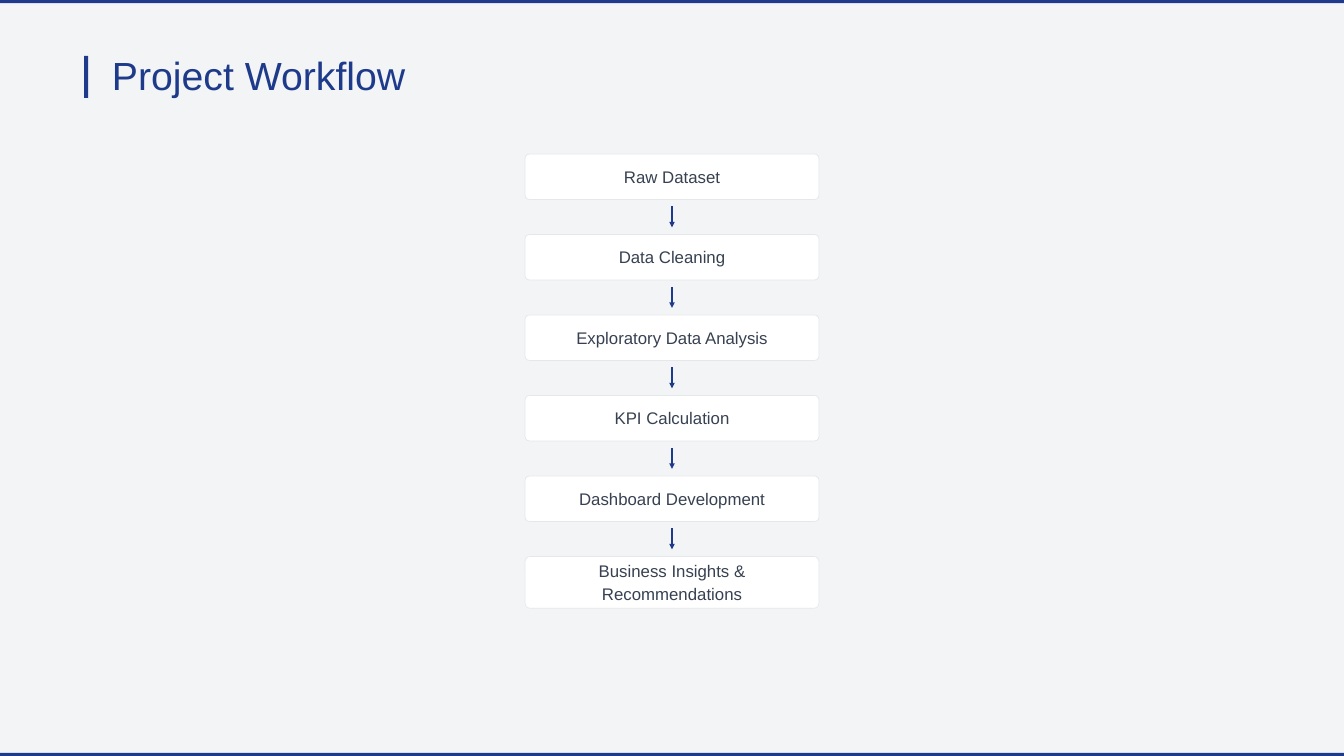
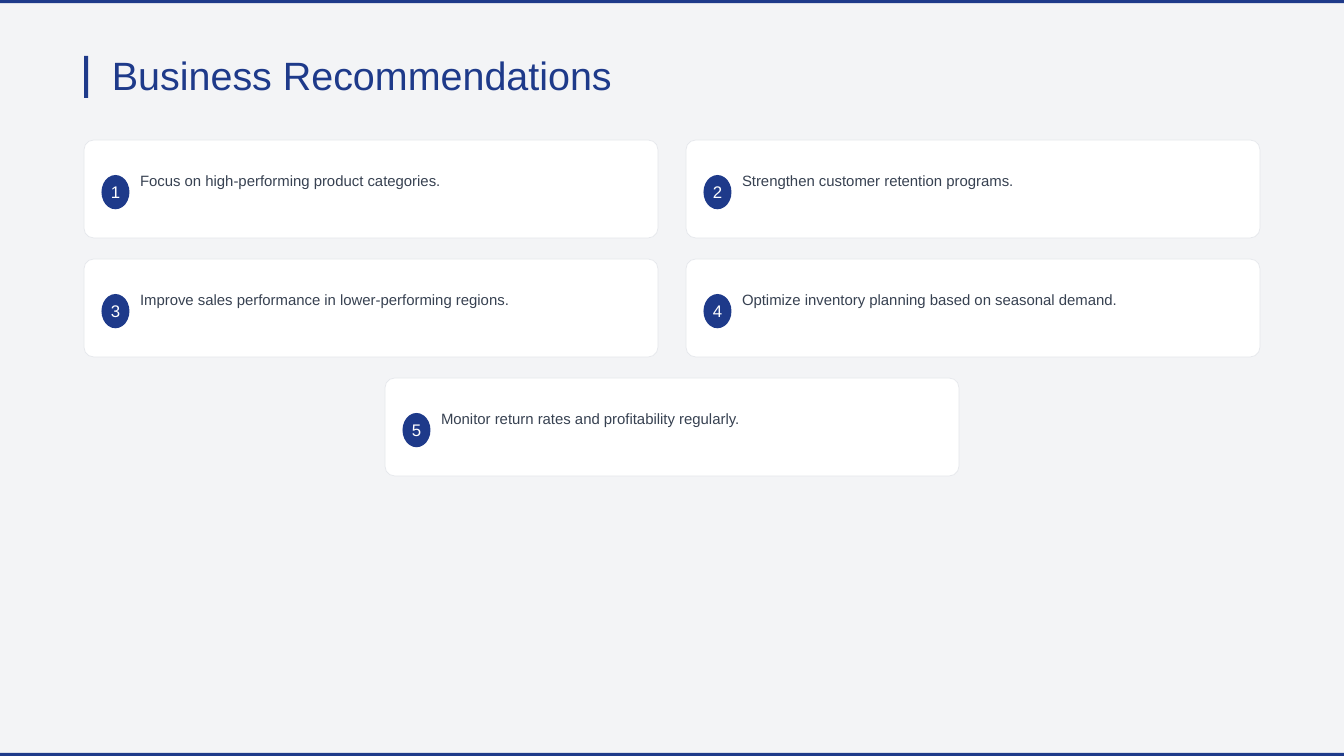
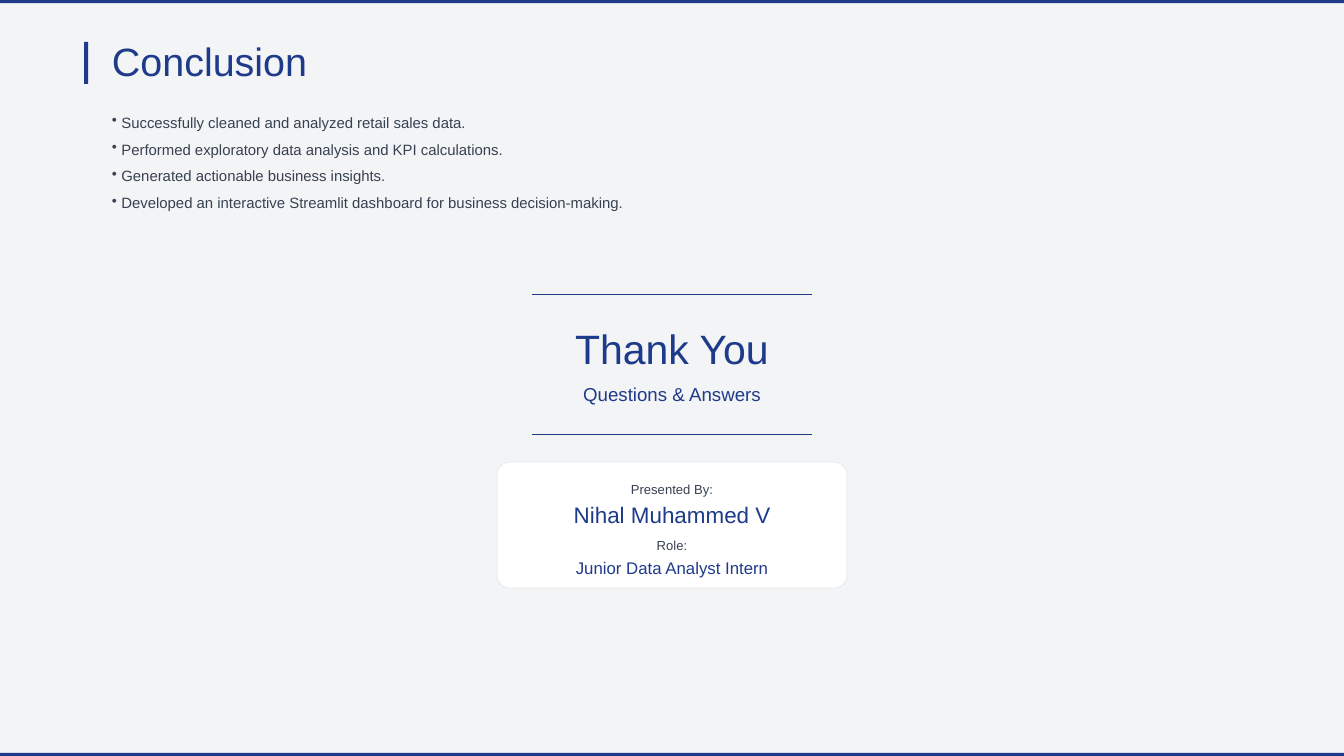
import typing

import pptx
import pptx.dml.color
import pptx.enum.shapes
import pptx.enum.text
import pptx.oxml.ns
import pptx.util
from lxml import etree

RGB = pptx.dml.color.RGBColor
NAVY = RGB(0x1E, 0x3A, 0x8A)
SLATE = RGB(0x37, 0x41, 0x51)
MIST = RGB(0xF3, 0xF4, 0xF6)
EDGE = RGB(0xE5, 0xE7, 0xEB)
WHITE = RGB(0xFF, 0xFF, 0xFF)

FONT = "Arial"
COLS, ROWS = 96, 54
WIDTH = pptx.util.Inches(20)
CELL = WIDTH // COLS
CELL_PT = 15
MARGIN = 6
TITLE_ONLY = 5

KIND = pptx.enum.shapes.MSO_SHAPE
ALIGN = pptx.enum.text.PP_ALIGN
ANCHOR = pptx.enum.text.MSO_ANCHOR


class Box(typing.NamedTuple):
    """Left, top, width and height in grid cells."""
    left: float
    top: float
    width: float
    height: float


class Style(typing.NamedTuple):
    size: float
    color: RGB = SLATE
    align: ALIGN = ALIGN.CENTER
    lead: float = 1.4


class Head(typing.NamedTuple):
    text: str
    row: float = 4
    size: float = 42.3


class Label(typing.NamedTuple):
    text: str
    top: float
    style: Style


STEP = Style(18)
BADGE = Style(18, WHITE, lead=1.15)
ADVICE = Style(16, align=ALIGN.LEFT, lead=1.5)
POINT = Style(16, align=ALIGN.LEFT, lead=1.8)
SMALL = Style(14)

STEPS = ["Raw Dataset", "Data Cleaning", "Exploratory Data Analysis",
         "KPI Calculation", "Dashboard Development",
         "Business Insights & Recommendations"]
ADVICES = ["Focus on high-performing product categories.",
           "Strengthen customer retention programs.",
           "Improve sales performance in lower-performing regions.",
           "Optimize inventory planning based on seasonal demand.",
           "Monitor return rates and profitability regularly."]
POINTS = ["Successfully cleaned and analyzed retail sales data.",
          "Performed exploratory data analysis and KPI calculations.",
          "Generated actionable business insights.",
          "Developed an interactive Streamlit dashboard for business "
          "decision-making."]
CLOSING = [
    Label("Thank You", 22.55, Style(43.9, NAVY)),
    Label("Questions & Answers", 27.1, Style(20, NAVY)),
    Label("Presented By:", 34.2, SMALL),
    Label("Nihal Muhammed V", 35.5, Style(24, NAVY)),
    Label("Role:", 38.2, SMALL),
    Label("Junior Data Analyst Intern", 39.6, Style(18, NAVY)),
]


def cells(*counts: float) -> list[pptx.util.Emu]:
    return [pptx.util.Emu(round(count * CELL)) for count in counts]


def write(shape, lines: list[str], style: Style, anchor=ANCHOR.TOP,
          side: float = 0, foot: float = 0, bullet: bool = False) -> None:
    """Fill a shape with styled lines; side and foot are insets in inches."""
    frame = shape.text_frame
    frame.text = "\n".join(lines)
    frame.word_wrap = True
    frame.auto_size = pptx.enum.text.MSO_AUTO_SIZE.NONE
    frame.vertical_anchor = anchor
    frame.margin_left = frame.margin_right = pptx.util.Inches(side)
    frame.margin_top = 0
    frame.margin_bottom = pptx.util.Inches(foot)
    for para in frame.paragraphs:
        if bullet:
            props = para._p.get_or_add_pPr()
            indent = pptx.util.Inches(0.14)
            props.set("marL", str(indent))
            props.set("indent", str(-indent))
            mark = etree.SubElement(props, pptx.oxml.ns.qn("a:buChar"))
            mark.set("char", "•")
        para.alignment = style.align
        para.line_spacing = pptx.util.Pt(style.size * style.lead)
        for run in para.runs:
            run.font.name = FONT
            run.font.size = pptx.util.Pt(style.size)
            run.font.color.rgb = style.color


def add_text(slide, left: float, top: float, width: float,
             lines: list[str], style: Style, bullet: bool = False) -> None:
    height = len(lines) * style.size * style.lead / CELL_PT
    shape = slide.shapes.add_textbox(*cells(left, top, width, height))
    write(shape, lines, style, bullet=bullet)


def add_solid(slide, box: Box, kind=KIND.RECTANGLE):
    shape = slide.shapes.add_shape(kind, *cells(*box))
    shape.shadow.inherit = False
    shape.fill.solid()
    shape.fill.fore_color.rgb = NAVY
    shape.line.fill.background()
    return shape


def add_card(slide, box: Box):
    shape = add_solid(slide, box, KIND.ROUNDED_RECTANGLE)
    shape.adjustments[0] = 0.1
    shape.fill.fore_color.rgb = WHITE
    shape.line.color.rgb = EDGE
    shape.line.width = pptx.util.Pt(0.75)
    return shape


def add_line(slide, start: tuple[float, float], end: tuple[float, float],
             weight: float, arrow: bool = False) -> None:
    line = slide.shapes.add_connector(
        pptx.enum.shapes.MSO_CONNECTOR.STRAIGHT, *cells(*start, *end))
    line.line.color.rgb = NAVY
    line.line.width = pptx.util.Pt(weight)
    if arrow:
        tail = etree.SubElement(line.line._get_or_add_ln(),
                                pptx.oxml.ns.qn("a:tailEnd"))
        tail.set("type", "triangle")
    etree.SubElement(line._element.spPr, pptx.oxml.ns.qn("a:effectLst"))


def add_slide(deck, head: Head):
    """Add a slide with its edge bands, title bar and title."""
    slide = deck.slides.add_slide(deck.slide_layouts[TITLE_ONLY])
    band = 0.22
    for top in (0, ROWS - band):
        add_solid(slide, Box(0, top, COLS, band))
    add_solid(slide, Box(MARGIN, head.row, 0.3, 3))
    title = slide.shapes.title
    box = Box(MARGIN + 2, head.row - 0.9, 40, 4.2)
    title.left, title.top, title.width, title.height = cells(*box)
    write(title, [head.text], Style(head.size, NAVY, ALIGN.LEFT))
    return slide


def draw_flow(deck) -> None:
    slide = add_slide(deck, Head("Project Workflow", size=42))
    width, height, pitch = 21, 3.25, 5.75
    mid = COLS / 2
    for place, step in enumerate(STEPS):
        top = 11 + place * pitch
        last = place == len(STEPS) - 1
        box = Box(mid - width / 2, top, width, 3.7 if last else height)
        write(add_card(slide, box), [step], STEP, ANCHOR.MIDDLE, 0.06, 0.05)
        if not last:
            start = top + height + 0.5
            add_line(slide, (mid, start), (mid, start + 1.5), 1.5, True)


def draw_advice(deck) -> None:
    slide = add_slide(deck, Head("Business Recommendations"))
    width, height, gap, pitch = 41, 7, 2, 8.5
    for place, advice in enumerate(ADVICES):
        row, col = divmod(place, 2)
        left = MARGIN + col * (width + gap)
        if place == len(ADVICES) - 1:
            left = (COLS - width) / 2
        top = 10 + row * pitch
        add_card(slide, Box(left, top, width, height))
        badge = add_solid(slide, Box(left + 1.25, top + 2.5, 2, 2.45),
                          KIND.OVAL)
        write(badge, [str(place + 1)], BADGE, ANCHOR.MIDDLE)
        add_text(slide, left + 4, top + 1.9, 35.5, [advice], ADVICE)


def draw_close(deck) -> None:
    slide = add_slide(deck, Head("Conclusion", row=3))
    add_text(slide, MARGIN + 2, 7.45, 50, POINTS, POINT, bullet=True)
    for row in (21, 31):
        add_line(slide, (38, row), (58, row), 0.75)
    add_card(slide, Box(35.5, 33, 25, 9))
    for label in CLOSING:
        add_text(slide, 33, label.top, 30, [label.text], label.style)


def main() -> None:
    deck = pptx.Presentation()
    deck.slide_width, deck.slide_height = cells(COLS, ROWS)
    fill = deck.slide_master.background.fill
    fill.solid()
    fill.fore_color.rgb = MIST
    draw_flow(deck)
    draw_advice(deck)
    draw_close(deck)
    deck.save("out.pptx")


if __name__ == "__main__":
    main()
